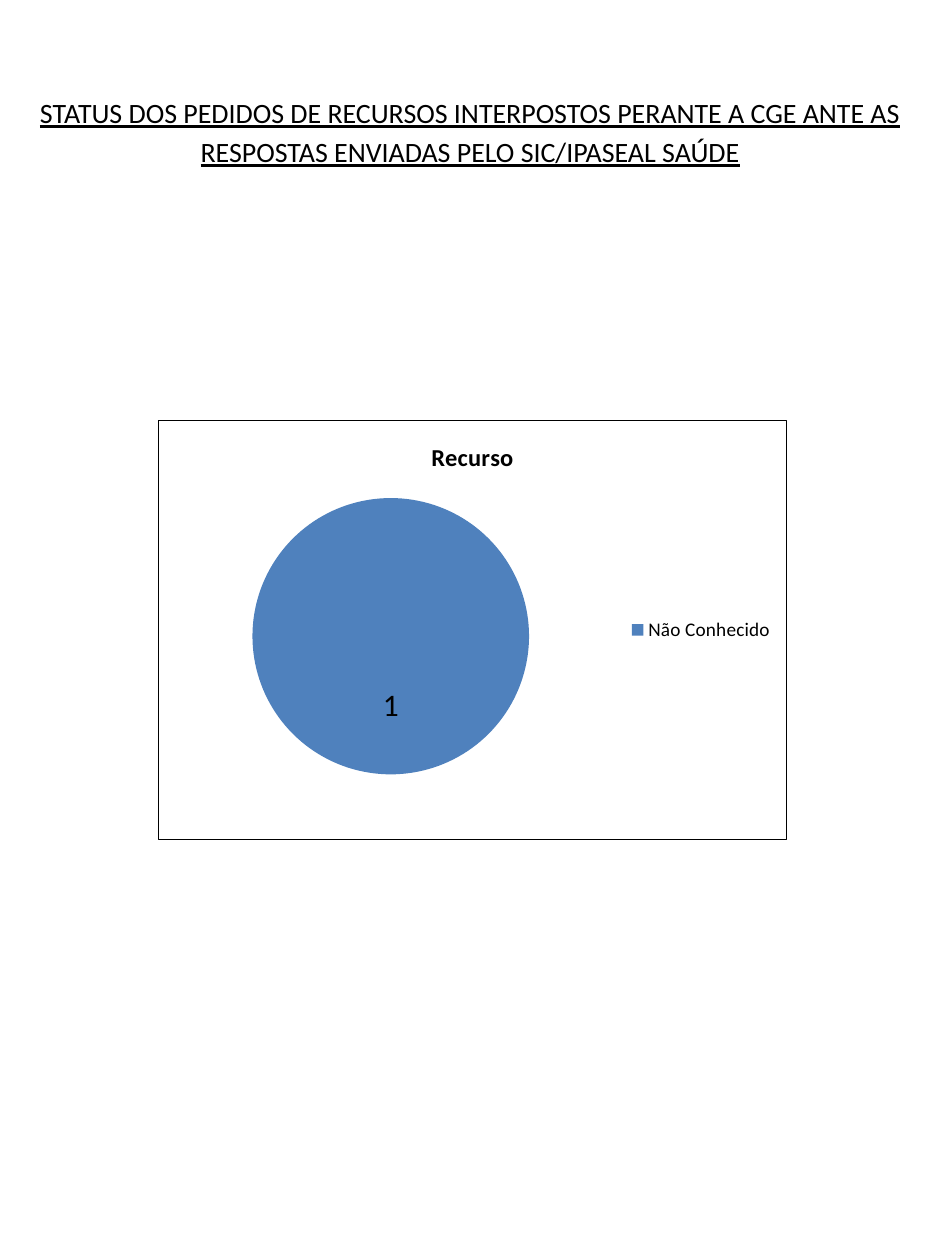
from dataclasses import dataclass

from lxml import etree
from pptx import Presentation
from pptx import util as u
from pptx.chart.data import CategoryChartData
from pptx.dml.color import RGBColor
from pptx.enum import chart as chart_enum
from pptx.enum import text
from pptx.oxml import parse_xml
from pptx.oxml.ns import nsdecls, qn

WIDTH, HEIGHT = u.Inches(7.5), u.Inches(10)


@dataclass(frozen=True)
class Theme:
    font: str = "Calibri"
    ink: str = "000000"
    slice: str = "4F81BD"
    heading_size: int = 16
    chart_size: int = 18
    chart_title_size: int = 14
    legend_size: int = 11
    border_width: float = 0.75


@dataclass(frozen=True)
class Area:
    left: float
    top: float
    width: float
    height: float

    def lengths(self) -> tuple[int, int, int, int]:
        return (
            round(self.left * WIDTH),
            round(self.top * HEIGHT),
            round(self.width * WIDTH),
            round(self.height * HEIGHT),
        )


THEME = Theme()
HEADING_AREA = Area(0.017, 0.067, 0.961, 0.072)
CHART_AREA = Area(1 / 6, 1 / 3, 2 / 3, 1 / 3)
PIE_AREA = Area(0.15, 0.18, 0.44, 0.67)


def format_font(font, size: float, bold: bool = False, underline: bool = False) -> None:
    font.name = THEME.font
    font.size = u.Pt(size)
    font.bold = bold
    font.underline = underline
    font.color.rgb = RGBColor.from_string(THEME.ink)


def write_text(frame, content: str, *, size: float, bold: bool = False,
               underline: bool = False, line_spacing: float | None = None,
               space_after: float | None = None) -> None:
    paragraph = frame.paragraphs[0]
    paragraph.alignment = text.PP_ALIGN.CENTER
    if line_spacing is not None:
        paragraph.line_spacing = line_spacing
    if space_after is not None:
        paragraph.space_before = u.Pt(0)
        paragraph.space_after = u.Pt(space_after)
    run = paragraph.add_run()
    run.text = content
    format_font(run.font, size, bold, underline)


def add_heading(slide, area: Area, content: str) -> None:
    title = slide.shapes.title
    title.left, title.top, title.width, title.height = area.lengths()
    frame = title.text_frame
    frame.word_wrap = True
    frame.auto_size = text.MSO_AUTO_SIZE.SHAPE_TO_FIT_TEXT
    frame.vertical_anchor = text.MSO_ANCHOR.TOP
    write_text(frame, content, size=THEME.heading_size, underline=True,
               line_spacing=1.15, space_after=10)


def set_border(chart) -> None:
    border = parse_xml(
        f'<c:spPr {nsdecls("c", "a")}><a:noFill/>'
        f'<a:ln w="{u.Pt(THEME.border_width)}"><a:solidFill>'
        f'<a:srgbClr val="{THEME.ink}"/></a:solidFill></a:ln></c:spPr>'
    )
    chart.element.find(qn("c:chart")).addnext(border)


def set_plot_area(chart, area: Area) -> None:
    plot_area = chart.element.find(qn("c:chart")).find(qn("c:plotArea"))
    for layout in plot_area.findall(qn("c:layout")):
        plot_area.remove(layout)
    layout = etree.Element(qn("c:layout"))
    manual = etree.SubElement(layout, qn("c:manualLayout"))
    settings = {
        "layoutTarget": "inner", "xMode": "edge", "yMode": "edge",
        "x": area.left, "y": area.top, "w": area.width, "h": area.height,
    }
    for name, value in settings.items():
        etree.SubElement(manual, qn(f"c:{name}"), val=str(value))
    plot_area.insert(0, layout)


def add_pie(slide, area: Area, title: str, values: dict[str, int]) -> None:
    data = CategoryChartData()
    data.categories = list(values)
    data.add_series(title, list(values.values()))
    chart = slide.shapes.add_chart(
        chart_enum.XL_CHART_TYPE.PIE, *area.lengths(), data
    ).chart
    format_font(chart.font, THEME.chart_size)
    chart.has_title = True
    write_text(chart.chart_title.text_frame, title,
               size=THEME.chart_title_size, bold=True)
    chart.chart_title.include_in_layout = False
    chart.has_legend = True
    chart.legend.position = chart_enum.XL_LEGEND_POSITION.RIGHT
    chart.legend.include_in_layout = False
    format_font(chart.legend.font, THEME.legend_size)

    plot = chart.plots[0]
    plot.vary_by_categories = True
    fill = plot.series[0].points[0].format.fill
    fill.solid()
    fill.fore_color.rgb = RGBColor.from_string(THEME.slice)
    plot.has_data_labels = True
    labels = plot.data_labels
    labels.show_value = True
    labels.show_percentage = False
    labels.position = chart_enum.XL_LABEL_POSITION.CENTER
    format_font(labels.font, THEME.chart_size)
    set_border(chart)
    set_plot_area(chart, PIE_AREA)


def main() -> None:
    presentation = Presentation()
    presentation.slide_width, presentation.slide_height = WIDTH, HEIGHT
    slide = presentation.slides.add_slide(presentation.slide_layouts[5])
    add_heading(
        slide, HEADING_AREA,
        "STATUS DOS PEDIDOS DE RECURSOS INTERPOSTOS PERANTE A CGE ANTE AS "
        "RESPOSTAS ENVIADAS PELO SIC/IPASEAL SAÚDE",
    )
    add_pie(slide, CHART_AREA, "Recurso", {"Não Conhecido": 1})
    presentation.save("out.pptx")


if __name__ == "__main__":
    main()
